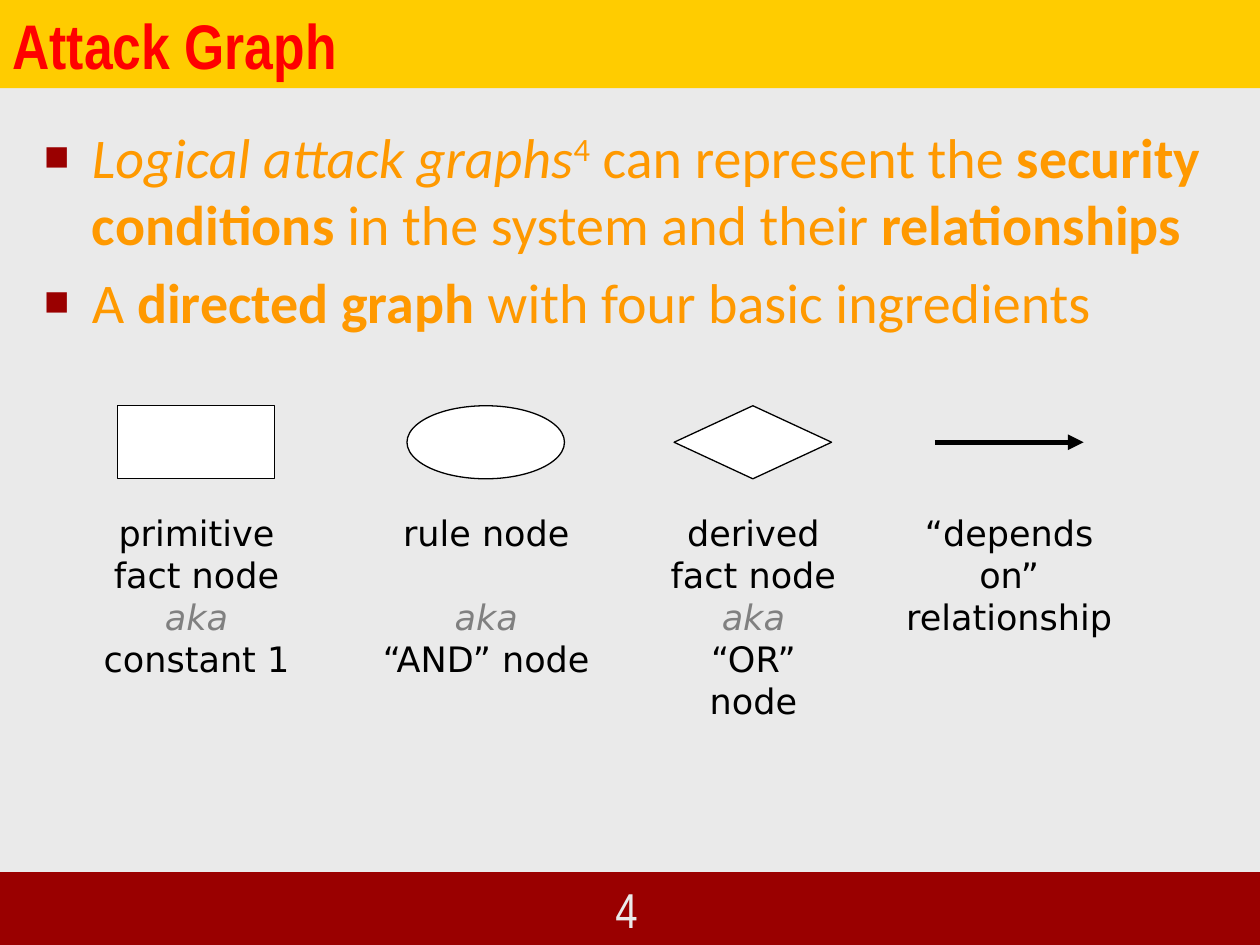
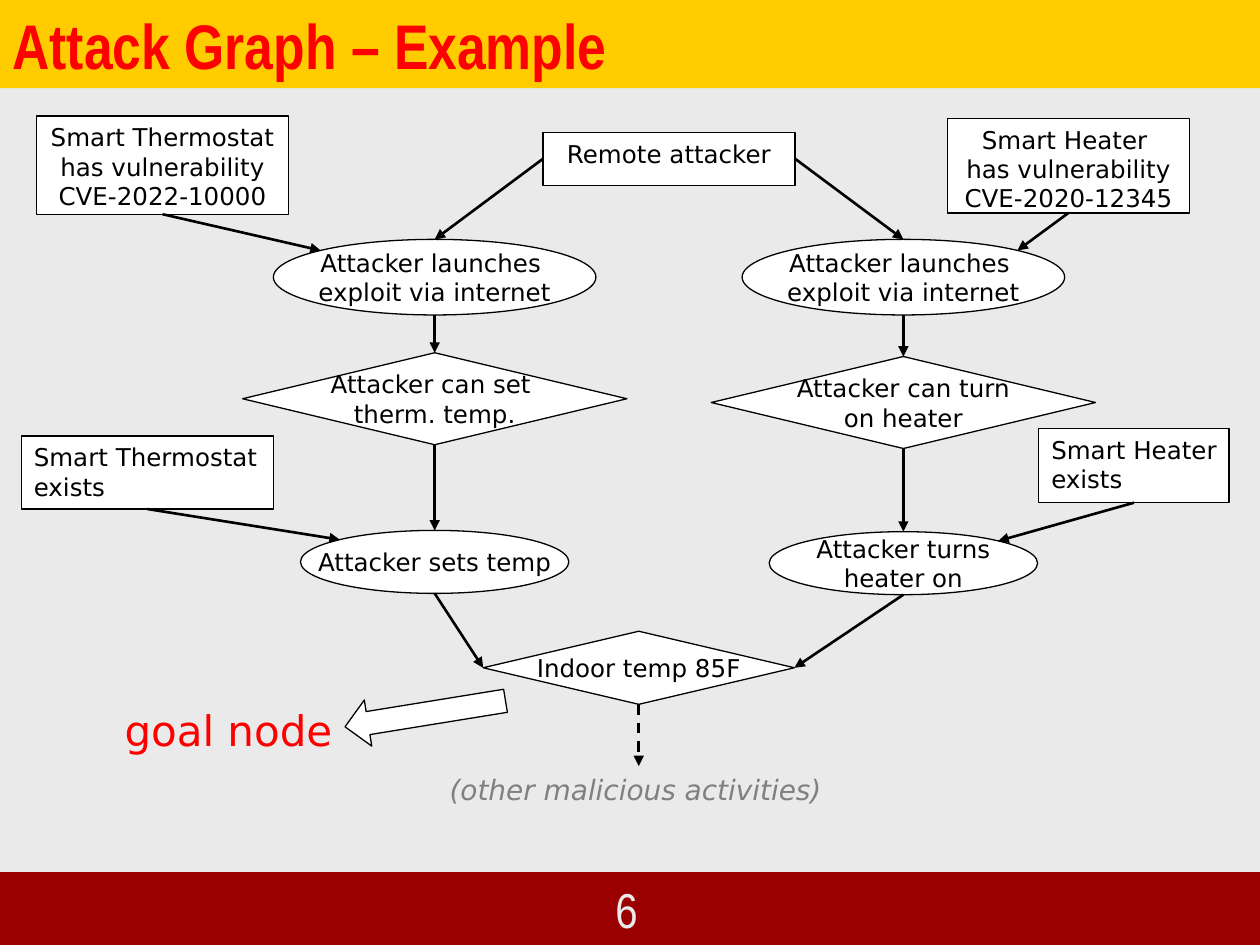
from lxml import etree
from pptx import Presentation
from pptx.dml.color import RGBColor
from pptx.enum.dml import MSO_LINE
from pptx.enum.shapes import MSO_CONNECTOR, MSO_SHAPE
from pptx.enum.text import MSO_ANCHOR, MSO_AUTO_SIZE, PP_ALIGN
from pptx.oxml.ns import qn
from pptx.util import Inches, Pt

RECT, OVAL, DIAMOND = MSO_SHAPE.RECTANGLE, MSO_SHAPE.OVAL, MSO_SHAPE.DIAMOND
DECISION, ARROW = MSO_SHAPE.FLOWCHART_DECISION, MSO_SHAPE.RIGHT_ARROW
STRAIGHT, DASH = MSO_CONNECTOR.STRAIGHT, MSO_LINE.DASH
TOP, MIDDLE, BOTTOM = MSO_ANCHOR.TOP, MSO_ANCHOR.MIDDLE, MSO_ANCHOR.BOTTOM
LEFT, CENTER, RIGHT = PP_ALIGN.LEFT, PP_ALIGN.CENTER, PP_ALIGN.RIGHT
NO_FIT = MSO_AUTO_SIZE.NONE

COLORS = {
    "page": "EAEAEA", "band": "9A0000", "title_band": "FFCC00",
    "alert": "FF0000", "body": "FF9900", "ink": "000000",
    "paper": "FFFFFF", "muted": "808080",
}
TITLE_FONT, BODY_FONT, NODE_FONT = "Arial Narrow", "Calibri", "DejaVu Sans"
COLS, ROWS = 10, 7.5
FOOTER_TOP = 6.93
DIAGONAL = 0.5 ** 0.5
SIDES = {
    "top": (0, -1), "bottom": (0, 1), "left": (-1, 0), "right": (1, 0),
    "top left": (-DIAGONAL, -DIAGONAL), "top right": (DIAGONAL, -DIAGONAL),
}


def color(name):
    return RGBColor.from_string(COLORS[name])


def grid(*cells):
    return [Inches(c) for c in cells]


def place(shape, x, y, w, h):
    shape.left, shape.top, shape.width, shape.height = grid(x, y, w, h)


def style(font, name, size, ink, bold=None, italic=None):
    font.name, font.size = name, Pt(size)
    font.color.rgb = color(ink)
    font.bold, font.italic = bold, italic


def write(tf, text, name, size, ink, align=LEFT, anchor=TOP, wrap=False,
          bold=None, italic=None):
    tf.word_wrap, tf.auto_size, tf.vertical_anchor = wrap, NO_FIT, anchor
    tf.text = text.replace("\n", "\v")
    p = tf.paragraphs[0]
    p.alignment = align
    style(p.font, name, size, ink, bold, italic)


def add_box(s, kind, x, y, w, h, fill="paper", line="ink"):
    sp = s.shapes.add_shape(kind, *grid(x, y, w, h))
    sp.shadow.inherit = False
    sp.fill.solid()
    sp.fill.fore_color.rgb = color(fill)
    sp.line.color.rgb = color(line)
    sp.line.width = Pt(0.75)
    return sp


def add_node(s, kind, cx, y, w, h, text, align=CENTER):
    sp = add_box(s, kind, cx - w / 2, y, w, h)
    write(sp.text_frame, text, NODE_FONT, 14, "ink", align,
          TOP if kind == RECT else MIDDLE)
    return sp


def add_text(s, x, y, w, h, text, size, ink, **options):
    sp = s.shapes.add_textbox(*grid(x, y, w, h))
    write(sp.text_frame, text, NODE_FONT, size, ink, **options)
    return sp


def add_arrow(s, start, end, width=1.5, dash=None):
    cx = s.shapes.add_connector(STRAIGHT, *start, *end)
    cx.line.color.rgb = color("ink")
    cx.line.width = Pt(width)
    if dash:
        cx.line.dash_style = dash
    etree.SubElement(cx.line._get_or_add_ln(), qn("a:tailEnd"), type="triangle")
    etree.SubElement(cx._element.spPr, qn("a:effectLst"))


def point(sp, side):
    dx, dy = SIDES[side]
    return (int(sp.left + sp.width * (1 + dx) / 2),
            int(sp.top + sp.height * (1 + dy) / 2))


def link(s, source, out, target, into):
    add_arrow(s, point(source, out), point(target, into))


def add_slide(prs, layout, title, number):
    s = prs.slides.add_slide(prs.slide_layouts.get_by_name(layout))
    head = s.shapes.title
    place(head, 0, 0, COLS, 0.7)
    head.fill.solid()
    head.fill.fore_color.rgb = color("title_band")
    write(head.text_frame, title, TITLE_FONT, 36, "alert",
          anchor=BOTTOM, wrap=True, bold=True)
    add_box(s, RECT, 0, FOOTER_TOP, COLS, ROWS - FOOTER_TOP, "band", "band")
    page = add_box(s, RECT, 4.08, 6.95, 1.08, 0.55, "band", "band")
    write(page.text_frame, number, TITLE_FONT, 28, "page", RIGHT, BOTTOM, True)
    return s


def add_bullet(p, runs):
    style(p.font, BODY_FONT, 32, "body")
    pPr = p._p.get_or_add_pPr()
    pPr.set("marL", str(Inches(0.38)))
    pPr.set("indent", str(-Inches(0.38)))
    marks = [etree.Element(qn("a:buClr")),
             etree.Element(qn("a:buSzPct"), val="75000"),
             etree.Element(qn("a:buFont"), typeface="Arial"),
             etree.Element(qn("a:buChar"), char="■")]
    etree.SubElement(marks[0], qn("a:srgbClr"), val=COLORS["band"])
    for i, mark in enumerate(marks):
        pPr.insert(i, mark)
    for text, look in runs:
        r = p.add_run()
        r.text = text
        if look == "bold":
            r.font.bold = True
        elif look == "italic":
            r.font.italic = True
        elif look == "super":
            r._r.get_or_add_rPr().set("baseline", "30000")


def build_ingredients(prs):
    s = add_slide(prs, "Title and Content", "Attack Graph", "4")
    body = s.placeholders[1]
    place(body, 0.25, 0.92, 9.5, 5.75)
    tf = body.text_frame
    tf.auto_size = NO_FIT
    add_bullet(tf.paragraphs[0], [
        ("Logical attack graphs", "italic"), ("4", "super"),
        (" can represent the ", ""), ("security conditions", "bold"),
        (" in the system and their ", ""), ("relationships", "bold")])
    add_bullet(tf.add_paragraph(), [
        ("A ", ""), ("directed graph", "bold"),
        (" with four basic ingredients", "")])

    legend = [
        (RECT, 1.56, 1.68, "primitive\nfact node\n", "constant 1"),
        (OVAL, 3.86, 1.9, "rule node\n\n", "“AND” node"),
        (DIAMOND, 5.98, 1.6, "derived\nfact node\n", "“OR” node"),
        (None, 8.01, 2.04, "“depends on”\nrelationship", None),
    ]
    for kind, cx, w, name, alias in legend:
        if kind:
            add_box(s, kind, cx - 0.63, 3.22, 1.25, 0.58)
        else:
            add_arrow(s, grid(cx - 0.59, 3.51), grid(cx + 0.59, 3.51), 3)
        label = add_text(s, cx - w / 2, 4.01, w, 1.45, name, 20, "ink",
                         align=CENTER, wrap=True)
        if alias:
            p = label.text_frame.paragraphs[0]
            r = p.add_run()
            r.text = "aka"
            r.font.italic = True
            r.font.color.rgb = color("muted")
            p.add_line_break()
            p.add_run().text = alias


def add_branch(s, cx, remote, goal, inner, outer, flaw, device, able_y, able,
               act_y, act):
    flaw_node = add_node(s, RECT, *flaw)
    device_node = add_node(s, RECT, *device, LEFT)
    launch = add_node(s, OVAL, cx, 1.9, 2.56, 0.6,
                      "Attacker launches \nexploit via internet")
    able_node = add_node(s, DIAMOND, cx, able_y, 3.05, 0.73, able)
    act_node = add_node(s, OVAL, cx, act_y, 2.13, 0.5, act)
    link(s, flaw_node, "bottom", launch, "top " + outer)
    link(s, remote, inner, launch, "top")
    link(s, launch, "bottom", able_node, "top")
    link(s, able_node, "bottom", act_node, "top")
    link(s, device_node, "bottom", act_node, "top " + outer)
    link(s, act_node, "bottom", goal, inner)


def build_example(prs):
    s = add_slide(prs, "Title Only", "Attack Graph – Example", "6")
    remote = add_node(s, RECT, 5.31, 1.05, 2, 0.42, "Remote attacker")
    goal = add_node(s, DECISION, 5.07, 5.01, 2.47, 0.58, "Indoor temp 85F")
    add_branch(
        s, 3.45, remote, goal, "left", "left",
        (1.29, 0.92, 2, 0.78,
         "Smart Thermostat\nhas vulnerability\nCVE-2022-10000"),
        (1.17, 3.46, 2, 0.58, "Smart Thermostat \nexists"),
        2.8, "Attacker can set \ntherm. temp.", 4.21, "Attacker sets temp")
    add_branch(
        s, 7.17, remote, goal, "right", "right",
        (8.48, 0.94, 1.92, 0.75,
         "Smart Heater \nhas vulnerability\nCVE-2020-12345"),
        (9, 3.4, 1.51, 0.59, "Smart Heater\nexists"),
        2.83, "Attacker can turn\non heater", 4.22,
        "Attacker turns\nheater on")
    add_arrow(s, point(goal, "bottom"), grid(5.07, 6.08), dash=DASH)
    add_text(s, 3.47, 6.08, 3.21, 0.37, "(other malicious activities)", 16,
             "muted", italic=True)
    add_text(s, 0.89, 5.54, 1.86, 0.5, "goal node", 24, "alert")
    add_box(s, ARROW, 2.73, 5.48, 1.29, 0.37).rotation = 170.8


def main():
    prs = Presentation()
    prs.slide_width, prs.slide_height = grid(COLS, ROWS)
    back = prs.slide_master.background.fill
    back.solid()
    back.fore_color.rgb = color("page")
    build_ingredients(prs)
    build_example(prs)
    prs.save("out.pptx")


main()
